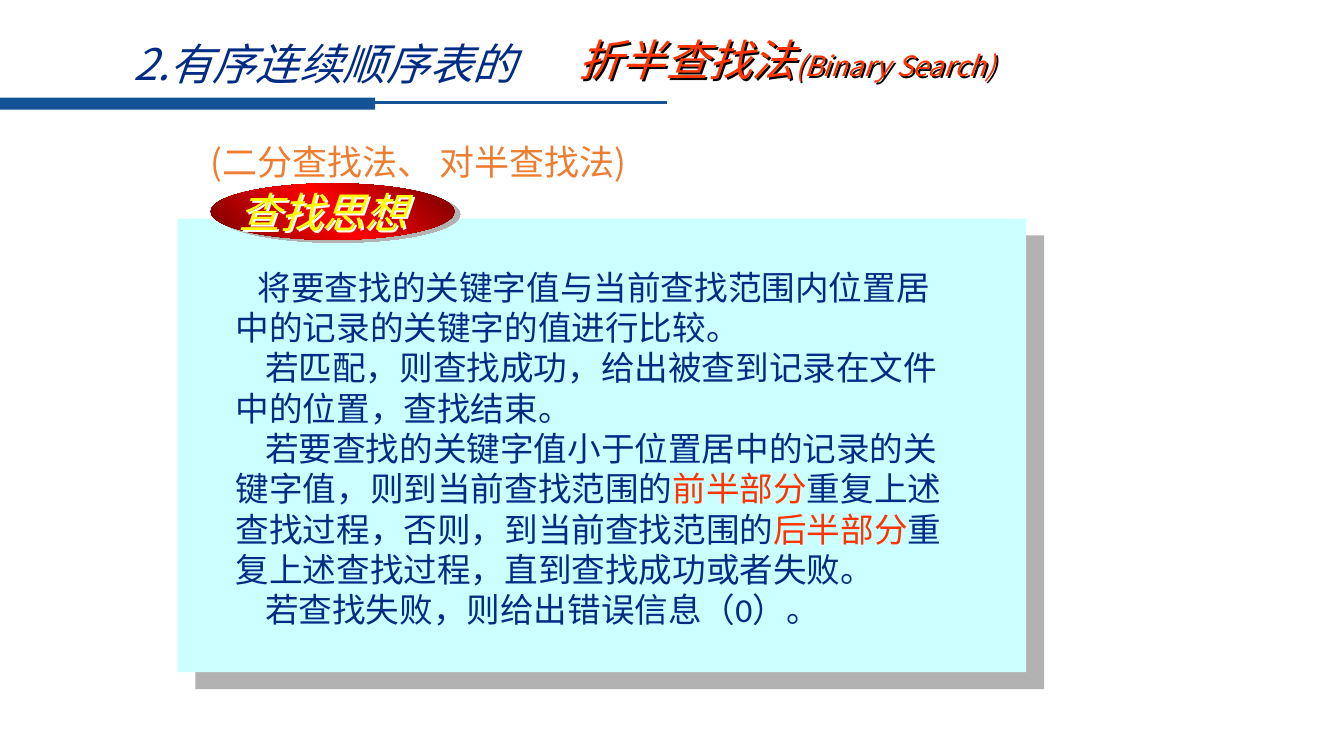
import copy
from collections import namedtuple

import pptx
import pptx.dml.color
import pptx.enum.shapes
import pptx.enum.text
import pptx.oxml
import pptx.oxml.ns
import pptx.util

Pt = pptx.util.Pt
SHAPE = pptx.enum.shapes.MSO_SHAPE
Box = namedtuple("Box", "left top width height")

CJK, LATIN = "Noto Sans CJK SC", "Calibri"
NAVY, RED, ORANGE, YELLOW = "002C84", "FF3300", "ED7D31", "FFFF00"
BLUE, AQUA, GREY, BLACK, WHITE = "145396", "CCFFFF", "B2B2B2", "000000", "FFFFFF"


def rgb(value):
    return pptx.dml.color.RGBColor.from_string(value)


def inset(box, left, top, width, height):
    """Box measured from the top left corner of another box."""
    return Box(box.left + left, box.top + top, width, height)


def add_shadow(shape, color, distance, angle):
    shape.shadow.inherit = False
    effects = shape._element.spPr.find(pptx.oxml.ns.qn("a:effectLst"))
    effects.append(pptx.oxml.parse_xml(
        f'<a:outerShdw {pptx.oxml.ns.nsdecls("a")} blurRad="0" '
        f'dist="{Pt(distance)}" dir="{angle * 60000}" algn="ctr" rotWithShape="0">'
        f'<a:srgbClr val="{color}"/></a:outerShdw>'))


def add_plain_shape(slide, kind, box, fill):
    shape = slide.shapes.add_shape(kind, *map(Pt, box))
    shape.shadow.inherit = False
    shape.fill.solid()
    shape.fill.fore_color.rgb = rgb(fill)
    shape.line.fill.background()
    return shape


def add_run(paragraph, text, color, **formats):
    run = paragraph.add_run()
    run.text = text
    for attribute, value in ({"name": CJK} | formats).items():
        setattr(run.font, attribute, value)
    run.font.color.rgb = rgb(color)
    east_asian = pptx.oxml.parse_xml(
        f'<a:ea {pptx.oxml.ns.nsdecls("a")} typeface="{CJK}"/>')
    run.font._element.find(pptx.oxml.ns.qn("a:latin")).addnext(east_asian)


def add_text(slide, box, paragraphs, size, indents=(0,), **formats):
    """Each paragraph is a list of (text, color, own formats) runs."""
    text_box = slide.shapes.add_textbox(*map(Pt, box))
    frame = text_box.text_frame
    frame.word_wrap = True
    frame.auto_size = pptx.enum.text.MSO_AUTO_SIZE.SHAPE_TO_FIT_TEXT
    for index, (runs, indent) in enumerate(zip(paragraphs, indents)):
        paragraph = frame.add_paragraph() if index else frame.paragraphs[0]
        paragraph.line_spacing = Pt(size * 1.2)
        paragraph._p.get_or_add_pPr().set("indent", str(Pt(indent)))
        for text, color, own in runs:
            add_run(paragraph, text, color, **({"size": Pt(size)} | formats | own))
    return text_box


def add_header(slide, box):
    add_text(slide, inset(box, 88, 23, 647, 45),
             [[("2.有序连续顺序表的", NAVY, {})]], 31, italic=True)
    method = add_text(slide, inset(box, 406, 20, 335, 45),
                      [[("折半查找法", RED, {}),
                        ("(Binary Search)", RED, {"size": Pt(20)})]], 31, italic=True)
    add_shadow(method, BLACK, 2, 45)

    add_plain_shape(slide, SHAPE.RECTANGLE, inset(box, 0, 69.8, 268, 8.6), BLUE)
    rule_y = Pt(box.top + 73.5)
    rule = slide.shapes.add_connector(
        pptx.enum.shapes.MSO_CONNECTOR.STRAIGHT,
        Pt(box.left + 265), rule_y, Pt(box.left + 476.6), rule_y)
    rule.line.color.rgb = rgb(BLUE)
    rule.line.width = Pt(2.25)
    rule._element.spPr.append(pptx.oxml.parse_xml(
        f'<a:effectLst {pptx.oxml.ns.nsdecls("a")}/>'))


def add_idea_panel(slide, box):
    panel = add_plain_shape(slide, SHAPE.RECTANGLE, box, AQUA)
    add_shadow(panel, GREY, 17.7, 43)
    steps = [
        [("将要查找的关键字值与当前查找范围内位置居中的记录的关键字的值进行比较。", NAVY, {})],
        [("若匹配，则查找成功，给出被查到记录在文件中的位置，查找结束。", NAVY, {})],
        [("若要查找的关键字值小于位置居中的记录的关键字值，则到当前查找范围的", NAVY, {}),
         ("前半部分", RED, {}),
         ("重复上述查找过程，否则，到当前查找范围的", NAVY, {}),
         ("后半部分", RED, {}),
         ("重复上述查找过程，直到查找成功或者失败。", NAVY, {})],
        [("若查找失败，则给出错误信息（", NAVY, {}),
         ("0）", NAVY, {"name": LATIN}),
         ("。", NAVY, {})],
    ]
    add_text(slide, inset(box, 34.6, 30.8, 523.4, 269), steps, 24,
             indents=(15.7, 21, 21, 21))


def add_badge(slide, box):
    oval = add_plain_shape(slide, SHAPE.OVAL, box, RED)
    oval.fill.gradient()
    oval.fill.gradient_angle = 45
    first_stop = oval.fill.gradient_stops[0]._gs
    first_stop.addnext(copy.deepcopy(first_stop))
    stops = zip(oval.fill.gradient_stops, (0, 0.5, 1), ("760000", "FF0000", "760000"))
    for stop, position, color in stops:
        stop.position = position
        stop.color.rgb = rgb(color)
    add_shadow(oval, GREY, 4.5, 27)

    caption = add_text(slide, inset(box, 6, -1, 204, 43),
                       [[("查找思想", YELLOW, {})]], 30, indents=(6.8,), italic=True)
    add_shadow(caption, WHITE, 2, 45)


def main():
    deck = pptx.Presentation()
    deck.slide_width, deck.slide_height = Pt(960), Pt(540)
    slide = deck.slides.add_slide(deck.slide_layouts[6])
    add_header(slide, Box(0, 0, 960, 80))
    add_text(slide, Box(143.3, 96.5, 372, 37.4),
             [[("(二分查找法、 对半查找法)", ORANGE, {})]], 25)
    add_idea_panel(slide, Box(126.7, 156.2, 606.2, 324))
    add_badge(slide, Box(150.5, 131, 174.2, 40.3))
    deck.save("out.pptx")


if __name__ == "__main__":
    main()
